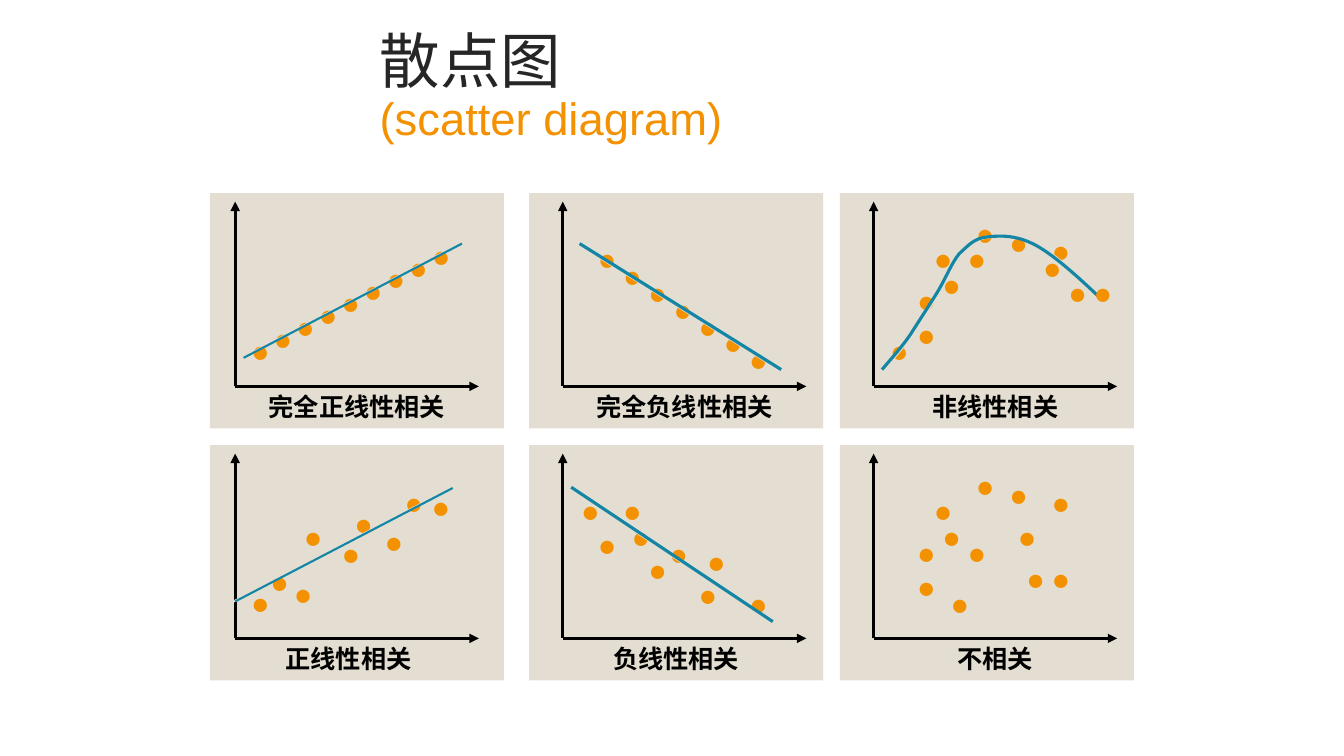
from dataclasses import dataclass

from lxml import etree
from pptx import Presentation
from pptx.dml.color import RGBColor
from pptx.enum.shapes import MSO_CONNECTOR, MSO_SHAPE
from pptx.enum.text import MSO_ANCHOR, MSO_AUTO_SIZE, PP_ALIGN
from pptx.oxml.ns import qn
from pptx.util import Emu, Pt

STRAIGHT = MSO_CONNECTOR.STRAIGHT
RECTANGLE = MSO_SHAPE.RECTANGLE
MIDDLE = MSO_ANCHOR.MIDDLE
FIT_SHAPE, NO_FIT = MSO_AUTO_SIZE.SHAPE_TO_FIT_TEXT, MSO_AUTO_SIZE.NONE
LEFT, CENTER = PP_ALIGN.LEFT, PP_ALIGN.CENTER

INK = RGBColor(0x26, 0x26, 0x26)
BLACK = RGBColor(0x00, 0x00, 0x00)
ORANGE = RGBColor(0xF4, 0x91, 0x00)
TEAL = RGBColor(0x14, 0x85, 0xA4)
SAND = RGBColor(0xE3, 0xDE, 0xD1)

# The slide is a grid of 160 columns by 90 rows of square cells
COLUMNS, ROWS = 160, 90
CELL = 76200
PANEL_WIDTH, PANEL_HEIGHT = 35, 28
PANEL_COLUMNS = (25, 63, 100)
PANEL_ROWS = (23, 53)
AXIS_TOP, AXIS_BASE, AXIS_LENGTH = 1, 23, 29
DOT_WIDTH, DOT_HEIGHT = 5.4, 5.6
CAPTION_WIDTH, CAPTION_HEIGHT = 25, 4.8

Point = tuple[float, float]


@dataclass(frozen=True)
class Panel:
    """One scatter diagram; points are cells from the panel's corner."""
    caption: str
    column: int
    row: int
    axis: int
    caption_left: int
    dots: list[Point]
    trend: tuple[Point, ...] = ()
    trend_width: float = 2.25
    dots_over_trend: tuple[Point, ...] = ()


# Start point, then three points for each Bézier segment
HUMP = (
    (5, 21),
    (6.1, 19.7), (7.3, 18.4), (8.4, 16.8),
    (9.4, 15.2), (10.8, 13.1), (11.7, 11.6),
    (12.7, 9.9), (13.3, 8.3), (14.2, 7.2),
    (15.2, 6.3), (16, 5.3), (17.6, 5.2),
    (19.2, 5), (21.2, 5), (23.5, 6.3),
    (25.6, 7.5), (28.4, 10), (31, 12.5),
)

PANELS = [
    Panel("完全正线性相关", 0, 0, 3, 5,
          [(3.7 + 2.69 * i, 15.9 - 1.42 * i) for i in range(9)],
          ((4, 19.6), (30, 6)), 1.5),
    Panel("完全负线性相关", 1, 0, 4, 6,
          [(7 + 3 * i, 5 + 2 * i) for i in range(7)],
          ((6, 6), (30, 21))),
    Panel("非线性相关", 2, 0, 4, 6,
          [(4.8, 15.9), (26, 9), (19, 3), (24, 4), (15, 2), (14, 5),
           (11, 8), (8, 14), (8, 10)],
          HUMP, dots_over_trend=((23, 6), (29, 9), (10, 5))),
    Panel("正线性相关", 0, 1, 3, 4,
          [(3.7, 15.9), (25.2, 4.5), (19.6, 8.6), (22, 4), (16, 6.5),
           (14.5, 10.1), (10, 8), (6, 13.4), (8.8, 14.8)],
          ((3, 18.6), (28.9, 5.1)), 1.5),
    Panel("负线性相关", 1, 1, 4, 5,
          [(19, 15), (25, 16), (13, 12), (20, 11), (7, 9), (15.5, 10.1),
           (11, 8), (5, 5), (10, 5)],
          ((5, 5), (29, 21))),
    Panel("不相关", 2, 1, 4, 6,
          [(12, 16), (21, 13), (19, 3), (24, 4), (15, 2), (14, 10),
           (11, 8), (8, 14), (8, 10), (20, 8), (24, 13), (10, 5)]),
]


def cells(count: float) -> Emu:
    return Emu(round(count * CELL))


def place(panel: Panel, point: Point) -> tuple[Emu, Emu]:
    """Turn a point of a panel into a position on the slide."""
    return (cells(PANEL_COLUMNS[panel.column] + point[0]),
            cells(PANEL_ROWS[panel.row] + point[1]))


def add_run(paragraph, text: str, font: str, size: float, color: RGBColor,
            bold: bool = False) -> None:
    run = paragraph.add_run()
    run.text = text
    run.font.name, run.font.size, run.font.bold = font, Pt(size), bold
    run.font.color.rgb = color


def style_line(shape, color: RGBColor, width: float, distance: float,
               angle: int) -> None:
    """Colour a line and give it a sand shadow."""
    shape.line.color.rgb = color
    shape.line.width = Pt(width)
    properties = shape._element.spPr
    for old in properties.findall(qn("a:effectLst")):
        properties.remove(old)
    effects = etree.SubElement(properties, qn("a:effectLst"))
    shadow = etree.SubElement(effects, qn("a:outerShdw"), dist=str(Pt(distance)),
                              dir=str(angle * 60000), algn="ctr", rotWithShape="0")
    etree.SubElement(shadow, qn("a:srgbClr"), val=str(SAND))


def add_axis(shapes, panel: Panel, tip: Point) -> None:
    origin = place(panel, (panel.axis, AXIS_BASE))
    axis = shapes.add_connector(STRAIGHT, *origin, *place(panel, tip))
    style_line(axis, BLACK, 2.25, 1.4, 45)
    etree.SubElement(axis._element.spPr.find(qn("a:ln")), qn("a:tailEnd"),
                     type="triangle")


def add_dot(shapes, panel: Panel, corner: Point) -> None:
    dot = shapes.add_textbox(*place(panel, corner), cells(DOT_WIDTH),
                             cells(DOT_HEIGHT)).text_frame
    dot.word_wrap = False
    dot.auto_size = FIT_SHAPE
    add_run(dot.paragraphs[0], "●", "Times New Roman", 22, ORANGE)


def add_curve(shapes, points: list[tuple[Emu, Emu]]):
    builder = shapes.build_freeform(*points[0])
    builder.add_line_segments(points[1:], close=False)
    curve = builder.convert_to_shape()
    curve.fill.background()
    # Join every three straight steps into one Bézier segment
    steps = list(curve._element.iter(qn("a:lnTo")))
    for first in range(0, len(steps), 3):
        segment = etree.Element(qn("a:cubicBezTo"))
        steps[first].addprevious(segment)
        for step in steps[first:first + 3]:
            segment.append(step[0])
            step.getparent().remove(step)
    return curve


def add_trend(shapes, panel: Panel) -> None:
    points = [place(panel, point) for point in panel.trend]
    if len(points) == 2:
        trend, angle = shapes.add_connector(STRAIGHT, *points[0], *points[1]), 180
    else:
        trend, angle = add_curve(shapes, points), 0
    style_line(trend, TEAL, panel.trend_width, 1, angle)


def add_panel(slide, panel: Panel) -> None:
    shapes = slide.shapes.add_group_shape().shapes
    backdrop = shapes.add_shape(RECTANGLE, *place(panel, (0, 0)),
                                cells(PANEL_WIDTH), cells(PANEL_HEIGHT))
    backdrop.shadow.inherit = False
    backdrop.fill.solid()
    backdrop.fill.fore_color.rgb = SAND
    backdrop.line.fill.background()

    add_axis(shapes, panel, (panel.axis, AXIS_TOP))
    add_axis(shapes, panel, (panel.axis + AXIS_LENGTH, AXIS_BASE))
    for corner in panel.dots:
        add_dot(shapes, panel, corner)
    if panel.trend:
        add_trend(shapes, panel)
    for corner in panel.dots_over_trend:
        add_dot(shapes, panel, corner)

    caption = shapes.add_textbox(*place(panel, (panel.caption_left, AXIS_BASE)),
                                 cells(CAPTION_WIDTH), cells(CAPTION_HEIGHT)).text_frame
    caption.word_wrap = True
    caption.auto_size = FIT_SHAPE
    caption.paragraphs[0].alignment = CENTER
    add_run(caption.paragraphs[0], panel.caption, "Quicksand", 18, BLACK, bold=True)


def add_title(slide) -> None:
    title = slide.shapes.title
    title.left, title.top = cells(44), cells(3)
    title.width, title.height = cells(92), cells(15)
    frame = title.text_frame
    frame.auto_size, frame.vertical_anchor = NO_FIT, MIDDLE
    heading = frame.paragraphs[0]
    heading.alignment, heading.line_spacing = LEFT, 0.9
    add_run(heading, "散点图", "Arial", 43.2, INK)
    heading.add_line_break()
    add_run(heading, "(scatter diagram)", "Arial", 32.4, ORANGE)


def main() -> None:
    deck = Presentation()
    deck.slide_width, deck.slide_height = cells(COLUMNS), cells(ROWS)
    slide = deck.slides.add_slide(deck.slide_layouts[5])
    add_title(slide)
    for panel in PANELS:
        add_panel(slide, panel)
    deck.save("out.pptx")


if __name__ == "__main__":
    main()
